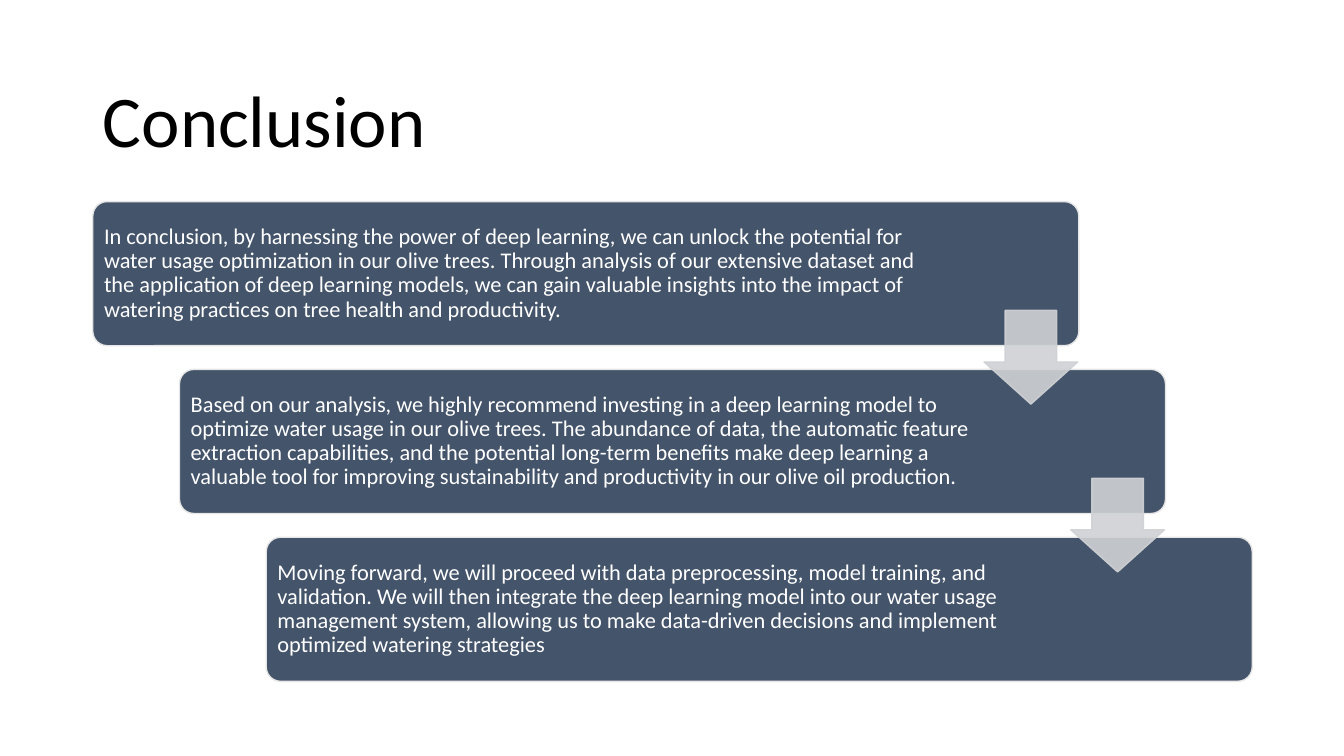
"""Build the Conclusion slide: three stepped cards joined by arrows."""
from dataclasses import dataclass

from lxml import etree
from pptx import Presentation
from pptx.dml.color import RGBColor
from pptx.enum import shapes, text
from pptx.oxml import ns
from pptx.util import Inches, Pt


@dataclass(frozen=True)
class Theme:
    """Colours, font and type sizes of the slide."""
    font: str = "Calibri"
    title_size: int = 52
    body_size: int = 16
    title: str = "000000"
    body: str = "FFFFFF"
    card: str = "44546A"
    card_line: str = "E7E6E6"
    arrow: str = "CFD1D4"
    arrow_opacity: int = 90


THEME = Theme()
CARD_LEFT, CARD_TOP = 0.92, 2.0
CARD_WIDTH, CARD_HEIGHT = 9.78, 1.43
STEP_X, STEP_Y = 0.86, 1.665
ARROW_LEFT, ARROW_TOP, ARROW_SIZE = 9.76, 3.08, 0.93

CARDS = [
    ("In conclusion, by harnessing the power of deep learning, we can unlock the "
     "potential for water usage optimization in our olive trees. Through analysis of "
     "our extensive dataset and the application of deep learning models, we can gain "
     "valuable insights into the impact of watering practices on tree health and "
     "productivity.", 1.54),
    ("Based on our analysis, we highly recommend investing in a deep learning model "
     "to optimize water usage in our olive trees. The abundance of data, the automatic "
     "feature extraction capabilities, and the potential long-term benefits make deep "
     "learning a valuable tool for improving sustainability and productivity in our "
     "olive oil production.", 1.87),
    ("Moving forward, we will proceed with data preprocessing, model training, and "
     "validation. We will then integrate the deep learning model into our water usage "
     "management system, allowing us to make data-driven decisions and implement "
     "optimized watering strategies", 1.87),
]


def write_text(shape, content, size, color):
    """Fill a shape with one left-aligned, vertically centred paragraph."""
    frame = shape.text_frame
    frame.text = content
    frame.word_wrap = True
    frame.auto_size = text.MSO_AUTO_SIZE.NONE
    frame.vertical_anchor = text.MSO_ANCHOR.MIDDLE
    paragraph = frame.paragraphs[0]
    paragraph.alignment = text.PP_ALIGN.LEFT
    paragraph.line_spacing = 0.9
    font = paragraph.runs[0].font
    font.name = THEME.font
    font.size = Pt(size)
    font.color.rgb = RGBColor.from_string(color)


def add_title(slide, content):
    """Place and format the title placeholder."""
    title = slide.shapes.title
    title.left, title.top = Inches(0.92), Inches(0.61)
    title.width, title.height = Inches(11.5), Inches(1.24)
    write_text(title, content, THEME.title_size, THEME.title)


def add_block(slide, kind, box, adjustments, fill, line):
    """Add a filled and outlined preset shape without a shadow."""
    shape = slide.shapes.add_shape(kind, *map(Inches, box))
    shape.shadow.inherit = False
    for index, value in enumerate(adjustments):
        shape.adjustments[index] = value
    shape.fill.solid()
    shape.fill.fore_color.rgb = RGBColor.from_string(fill)
    shape.line.color.rgb = RGBColor.from_string(line)
    shape.line.width = Pt(1)
    return shape


def add_card(slide, step, content, right_inset):
    """Add one rounded card, shifted right and down by its step."""
    box = (CARD_LEFT + step * STEP_X, CARD_TOP + step * STEP_Y, CARD_WIDTH, CARD_HEIGHT)
    card = add_block(slide, shapes.MSO_SHAPE.ROUNDED_RECTANGLE, box, [0.1],
                     THEME.card, THEME.card_line)
    write_text(card, content, THEME.body_size, THEME.body)
    frame = card.text_frame
    frame.margin_left = frame.margin_top = frame.margin_bottom = Inches(0.07)
    frame.margin_right = Inches(right_inset)


def add_arrow(slide, step):
    """Add the translucent arrow leading from one card to the next."""
    box = (ARROW_LEFT + step * STEP_X, ARROW_TOP + step * STEP_Y, ARROW_SIZE, ARROW_SIZE)
    arrow = add_block(slide, shapes.MSO_SHAPE.DOWN_ARROW, box, [0.45, 0.55],
                      THEME.arrow, THEME.arrow)
    arrow.adjustments[0], arrow.adjustments[1] = 0.55, 0.45
    for color in arrow.element.spPr.iter(ns.qn("a:srgbClr")):
        alpha = etree.SubElement(color, ns.qn("a:alpha"))
        alpha.set("val", str(THEME.arrow_opacity * 1000))


def main():
    """Build and save the presentation."""
    presentation = Presentation()
    presentation.slide_width, presentation.slide_height = Inches(13.33), Inches(7.5)
    slide = presentation.slides.add_slide(presentation.slide_layouts[5])
    add_title(slide, "Conclusion")
    for step, (content, right_inset) in enumerate(CARDS):
        add_card(slide, step, content, right_inset)
    for step in range(len(CARDS) - 1):
        add_arrow(slide, step)
    presentation.save("out.pptx")


if __name__ == "__main__":
    main()
